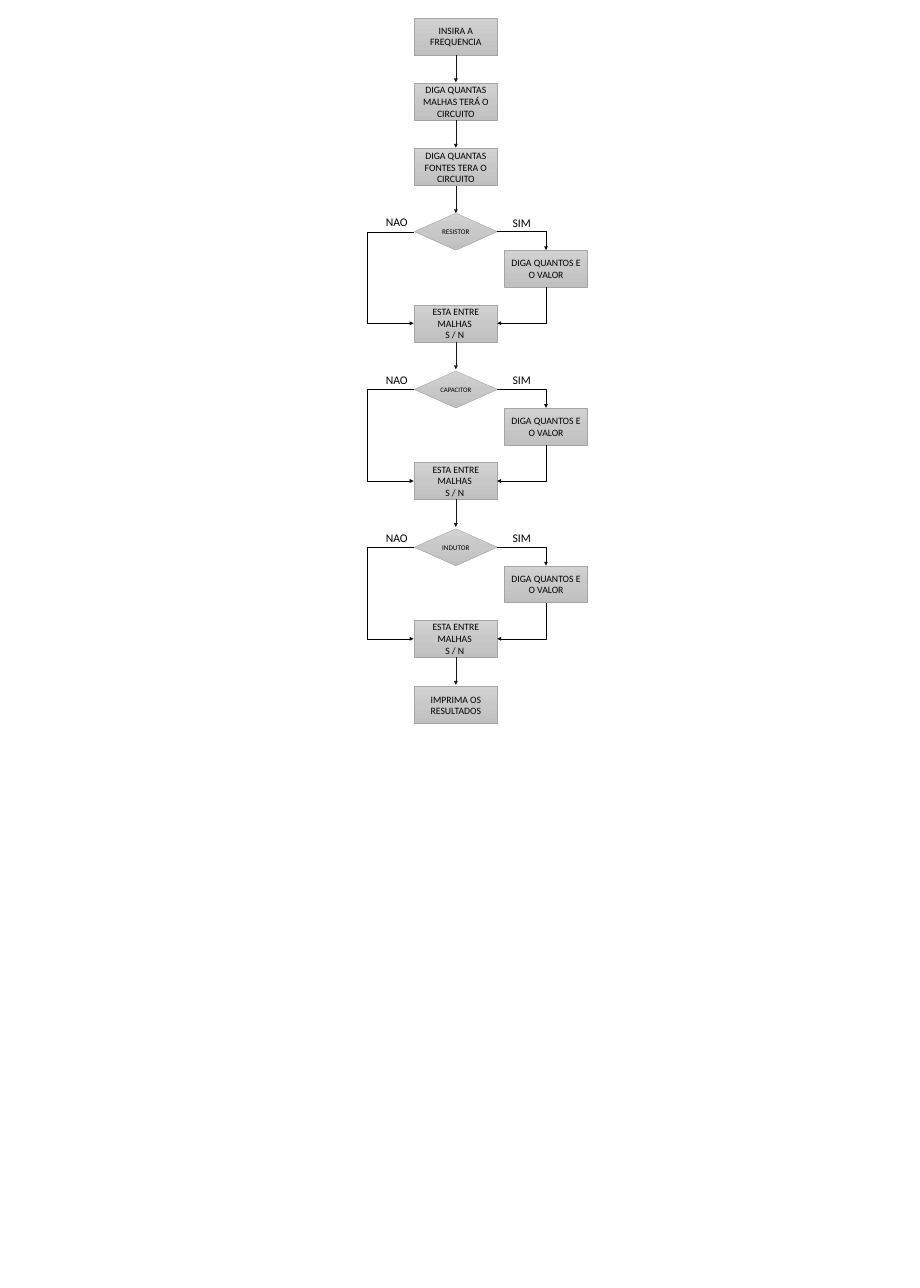
from copy import deepcopy
from dataclasses import dataclass

from pptx import Presentation
from pptx.dml.color import RGBColor as Rgb
from pptx.enum.shapes import MSO_CONNECTOR as Link, MSO_SHAPE as Shape
from pptx.enum.text import MSO_ANCHOR as Anchor, MSO_AUTO_SIZE as Fit, PP_ALIGN as Align
from pptx.oxml.ns import qn
from pptx.oxml.xmlchemy import OxmlElement as Node
from pptx.util import Inches, Pt

INK = {"top": "D2D2D2", "mid": "C8C8C8", "low": "C0C0C0",
       "edge": "A5A5A5", "text": "000000", "flow": "181717", "branch": "000000"}
FONT = "Calibri"

deck = Presentation()
deck.slide_width, deck.slide_height = Inches(19.69), Inches(27.56)
COL, ROW = deck.slide_width / 100, deck.slide_height / 100
slide = deck.slides.add_slide(deck.slide_layouts[6])

WIDE, TALL = 9, 2.87
LEFT, SIDE, LANE = 45.05, 54.85, 39.9
RIGHT, MID, DROP = LEFT + WIDE, LEFT + WIDE / 2, SIDE + WIDE / 2
FIRST, LEAD = 1.38, 5.08
START, STEP, ARROW = 16.55, 12.25, 2.14
HALF, ASK, SHIFT = TALL / 2, 7.11, 0.1


@dataclass
class Box:
    text: str
    x: float
    y: float
    size: float = 15
    kind: Shape = Shape.RECTANGLE


@dataclass
class Label:
    text: str
    x: float
    y: float
    wide: float


@dataclass
class Elbow:
    x1: float
    y1: float
    x2: float
    y2: float
    turn: int = 0
    reach: float = 0


@dataclass
class Stage:
    name: str
    size: float


def style(frame, size: float, align: Align) -> None:
    for para in frame.paragraphs:
        para.alignment = align
        for run in para.runs:
            run.font.name, run.font.size = FONT, Pt(size)
            run.font.color.rgb = Rgb.from_string(INK["text"])


def draw_box(box: Box) -> None:
    shape = slide.shapes.add_shape(box.kind, round(box.x * COL), round(box.y * ROW),
                                   round(WIDE * COL), round(TALL * ROW))
    shape.shadow.inherit = False
    shape.fill.gradient()
    shape.fill.gradient_angle = 270
    stops = shape._element.spPr.find(".//" + qn("a:gsLst"))
    stops.append(deepcopy(stops[0]))
    for stop, key, spot in zip(shape.fill.gradient_stops, ("top", "mid", "low"), (0, 0.5, 1)):
        stop.color.rgb, stop.position = Rgb.from_string(INK[key]), spot
    shape.line.color.rgb, shape.line.width = Rgb.from_string(INK["edge"]), Pt(0.5)
    frame = shape.text_frame
    frame.text, frame.word_wrap, frame.vertical_anchor = box.text, True, Anchor.MIDDLE
    style(frame, box.size, Align.CENTER)


def draw_label(label: Label) -> None:
    shape = slide.shapes.add_textbox(round(label.x * COL), round(label.y * ROW),
                                     round(label.wide * COL), round(2.5 * ROW))
    frame = shape.text_frame
    frame.text, frame.word_wrap, frame.auto_size = label.text, False, Fit.SHAPE_TO_FIT_TEXT
    style(frame, 18, Align.LEFT)


def finish(link, key: str) -> None:
    link.line.color.rgb, link.line.width = Rgb.from_string(INK[key]), Pt(0.5)
    tip = Node("a:tailEnd")
    tip.set("type", "triangle")
    link.line._get_or_add_ln().append(tip)
    link._element.spPr.append(Node("a:effectLst"))


def draw_flow(y: float) -> None:
    x = round(MID * COL)
    link = slide.shapes.add_connector(Link.STRAIGHT, x, round(y * ROW), x, round((y + ARROW) * ROW))
    finish(link, "flow")


def draw_elbow(bend: Elbow) -> None:
    wide, tall = abs(bend.x2 - bend.x1) * COL, abs(bend.y2 - bend.y1) * ROW
    if bend.turn == 90:
        wide, tall = tall, wide
    left = (bend.x1 + bend.x2) / 2 * COL - wide / 2
    top = (bend.y1 + bend.y2) / 2 * ROW - tall / 2
    link = slide.shapes.add_connector(Link.ELBOW, round(left), round(top),
                                      round(left + wide), round(top + tall))
    props = link._element.spPr
    frame, geom = props.find(qn("a:xfrm")), props.find(qn("a:prstGeom"))
    if bend.turn:
        frame.set("rot", str(bend.turn * 60000))
    if bend.reach:
        frame.set("flipV", "1")
        guide = Node("a:gd")
        guide.set("name", "adj1")
        guide.set("fmla", f"val {round(100000 * bend.reach * COL / wide)}")
        geom.find(qn("a:avLst")).append(guide)
    else:
        geom.set("prst", "bentConnector2")
    finish(link, "branch")


def draw_stage(stage: Stage, y: float) -> None:
    side, ask = y + 2 * HALF, y + ASK
    draw_box(Box(stage.name, LEFT, y, stage.size, Shape.DIAMOND))
    draw_box(Box("DIGA QUANTOS E O VALOR", SIDE, side))
    draw_box(Box("ESTA ENTRE MALHAS \nS / N ", LEFT, ask))
    draw_label(Label("SIM", 55.21, y, 4.88))
    draw_label(Label("NAO", 41.44, y - 0.04, 5.69))
    draw_elbow(Elbow(RIGHT, y + HALF, DROP, side))
    draw_elbow(Elbow(DROP, side + TALL, RIGHT, ask + HALF, 90))
    draw_elbow(Elbow(LEFT, y + HALF, LEFT - SHIFT, ask + HALF, 180, LEFT - LANE))
    draw_flow(ask + TALL)


STEPS = ("INSIRA A FREQUENCIA", "DIGA QUANTAS MALHAS TERÁ O CIRCUITO",
         "DIGA QUANTAS FONTES TERA O CIRCUITO")
STAGES = (Stage("RESISTOR", 11), Stage("CAPACITOR", 10.5), Stage("INDUTOR", 11))

for i, text in enumerate(STEPS):
    y = FIRST + i * LEAD
    draw_box(Box(text, LEFT, y))
    draw_flow(y + TALL)
for i, stage in enumerate(STAGES):
    draw_stage(stage, START + i * STEP)
draw_box(Box("IMPRIMA OS RESULTADOS", LEFT, START + len(STAGES) * STEP))

deck.save("out.pptx")
